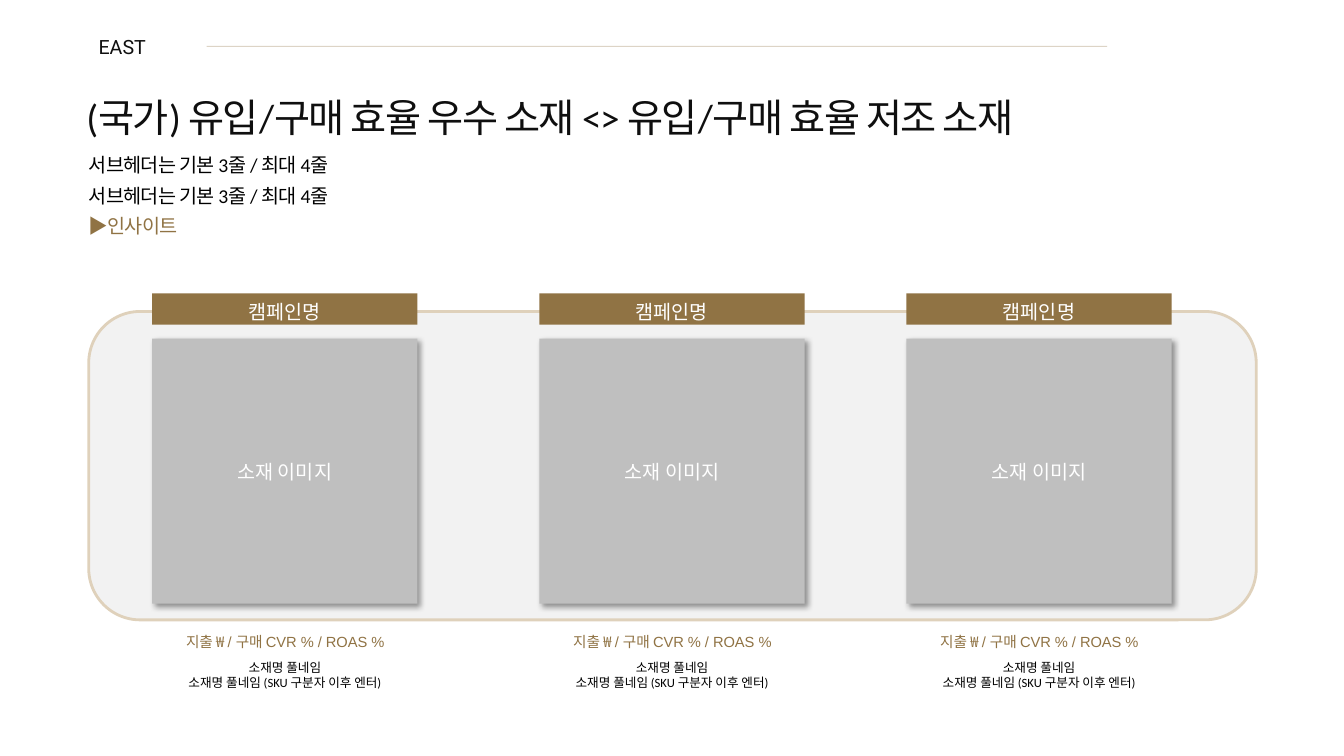
import dataclasses

import pptx
import pptx.dml.color
import pptx.enum.shapes
import pptx.enum.text
import pptx.oxml
import pptx.oxml.ns
import pptx.util

Inches = pptx.util.Inches
Pt = pptx.util.Pt
SHAPE = pptx.enum.shapes.MSO_SHAPE
ANCHOR = pptx.enum.text.MSO_ANCHOR
ALIGN = pptx.enum.text.PP_ALIGN
AUTO = pptx.enum.text.MSO_AUTO_SIZE
NS = pptx.oxml.ns.nsdecls("a")


@dataclasses.dataclass(frozen=True)
class Theme:
    ink: str = "0F0F0F"
    black: str = "000000"
    white: str = "FFFFFF"
    gold: str = "907344"
    pale_gold: str = "DFD1BB"
    panel: str = "F2F2F2"
    image: str = "BFBFBF"
    title: float = 28
    body: float = 14
    metric: float = 10.5
    caption: float = 9


THEME = Theme()
SUBHEADER = "서브헤더는 기본 3줄 / 최대 4줄"
CAMPAIGN_LEFTS = (1.51, 5.35, 8.99)


def rgb(color):
    return pptx.dml.color.RGBColor.from_string(color)


def write(sp, text, *, size, font, color, align=ALIGN.LEFT, anchor=ANCHOR.TOP,
          line_spacing=None, tracking=0, inset=True, grow=False):
    """Fill a shape with text, one paragraph per line; tracking is in points."""
    tf = sp.text_frame
    tf.word_wrap = True
    tf.auto_size = AUTO.SHAPE_TO_FIT_TEXT if grow else AUTO.NONE
    tf.vertical_anchor = anchor
    if not inset:
        tf.margin_left = tf.margin_top = tf.margin_right = tf.margin_bottom = 0
    tf.text = text
    for p in tf.paragraphs:
        p.alignment = align
        if line_spacing:
            p.line_spacing = line_spacing
        for r in p.runs:
            r.font.size = Pt(size)
            r.font.name = font
            r.font.color.rgb = rgb(color)
            if tracking:
                r.font._element.set("spc", str(int(tracking * 100)))
    return sp


def add_text(slide, box, text, **fmt):
    return write(slide.shapes.add_textbox(*map(Inches, box)), text, **fmt)


def add_block(slide, kind, box, fill, line=None):
    sp = slide.shapes.add_shape(kind, *map(Inches, box))
    sp.shadow.inherit = False
    sp.fill.solid()
    sp.fill.fore_color.rgb = rgb(fill)
    if line:
        sp.line.color.rgb = rgb(line)
        sp.line.width = Pt(2)
    else:
        sp.line.fill.background()
    return sp


def add_drop_shadow(sp):
    effects = sp._element.spPr.find(pptx.oxml.ns.qn("a:effectLst"))
    effects.append(pptx.oxml.parse_xml(
        f'<a:outerShdw {NS} blurRad="{Pt(4)}" dist="{Pt(3)}" dir="2700000" '
        'algn="tl" rotWithShape="0"><a:srgbClr val="000000">'
        '<a:alpha val="40000"/></a:srgbClr></a:outerShdw>'))


def running_header(slide, left, top):
    add_text(slide, (left, top, 1.73, 0.34), "EAST", size=THEME.body,
             font="Roboto", color=THEME.ink, anchor=ANCHOR.MIDDLE, grow=True)
    x, y = left + 1.17, top + 0.17
    rule = slide.shapes.add_connector(
        pptx.enum.shapes.MSO_CONNECTOR.STRAIGHT,
        Inches(x), Inches(y), Inches(x + 8.93), Inches(y))
    rule.line.color.rgb = rgb(THEME.gold)
    rule.line.width = Pt(0.75)
    color = rule._element.spPr.find(".//" + pptx.oxml.ns.qn("a:srgbClr"))
    color.append(pptx.oxml.parse_xml(f'<a:alpha {NS} val="30000"/>'))
    rule._element.spPr.append(pptx.oxml.parse_xml(f"<a:effectLst {NS}/>"))


def heading(slide, left, top, width):
    add_text(slide, (left - 0.12, top, width, 0.57),
             "(국가) 유입/구매 효율 우수 소재 <> 유입/구매 효율 저조 소재",
             size=THEME.title, font="Calibri", color=THEME.ink, tracking=-1,
             grow=True)
    sub = add_text(slide, (left, top + 0.57, width, 0.9),
                   "\n".join([SUBHEADER, SUBHEADER, "▶인사이트"]),
                   size=THEME.body, font="Calibri", color=THEME.black,
                   line_spacing=1.3, tracking=-0.5, inset=False, grow=True)
    insight = sub.text_frame.paragraphs[-1].runs[0].font
    insight.name = "Arial"
    insight.color.rgb = rgb(THEME.gold)


def campaign(slide, left, top, width):
    """Name banner, square image area, metrics and caption in one column."""
    banner = add_block(slide, SHAPE.RECTANGLE, (left, top, width, 0.31), THEME.gold)
    write(banner, "캠페인명", size=THEME.body, font="Arial", color=THEME.white,
          align=ALIGN.CENTER, line_spacing=1.3, inset=False, grow=True)
    image = add_block(slide, SHAPE.RECTANGLE, (left, top + 0.45, width, width),
                      THEME.image)
    add_drop_shadow(image)
    write(image, "소재 이미지", size=THEME.body, font="Lato", color=THEME.white,
          align=ALIGN.CENTER, anchor=ANCHOR.MIDDLE)
    add_text(slide, (left - 0.36, top + 3.32, width + 0.73, 0.23),
             "지출 ₩ / 구매 CVR % / ROAS %", size=THEME.metric, font="Arial",
             color=THEME.gold, align=ALIGN.CENTER, line_spacing=1.3,
             inset=False, grow=True)
    add_text(slide, (left - 0.04, top + 3.59, width + 0.08, 0.44),
             "소재명 풀네임\n소재명 풀네임 (SKU 구분자 이후 엔터)",
             size=THEME.caption, font="Calibri", color=THEME.black,
             align=ALIGN.CENTER)


def campaign_panel(slide, left, top, width, height):
    add_block(slide, SHAPE.ROUNDED_RECTANGLE, (left, top, width, height),
              THEME.panel, THEME.pale_gold)
    for x in CAMPAIGN_LEFTS:
        campaign(slide, x, top - 0.18, 2.63)


def main():
    prs = pptx.Presentation()
    prs.slide_width, prs.slide_height = Inches(13.33), Inches(7.5)
    slide = prs.slides.add_slide(prs.slide_layouts[6])
    running_header(slide, 0.88, 0.29)
    heading(slide, 0.88, 0.88, 11.86)
    campaign_panel(slide, 0.88, 3.09, 11.58, 3.06)
    prs.save("out.pptx")


if __name__ == "__main__":
    main()
